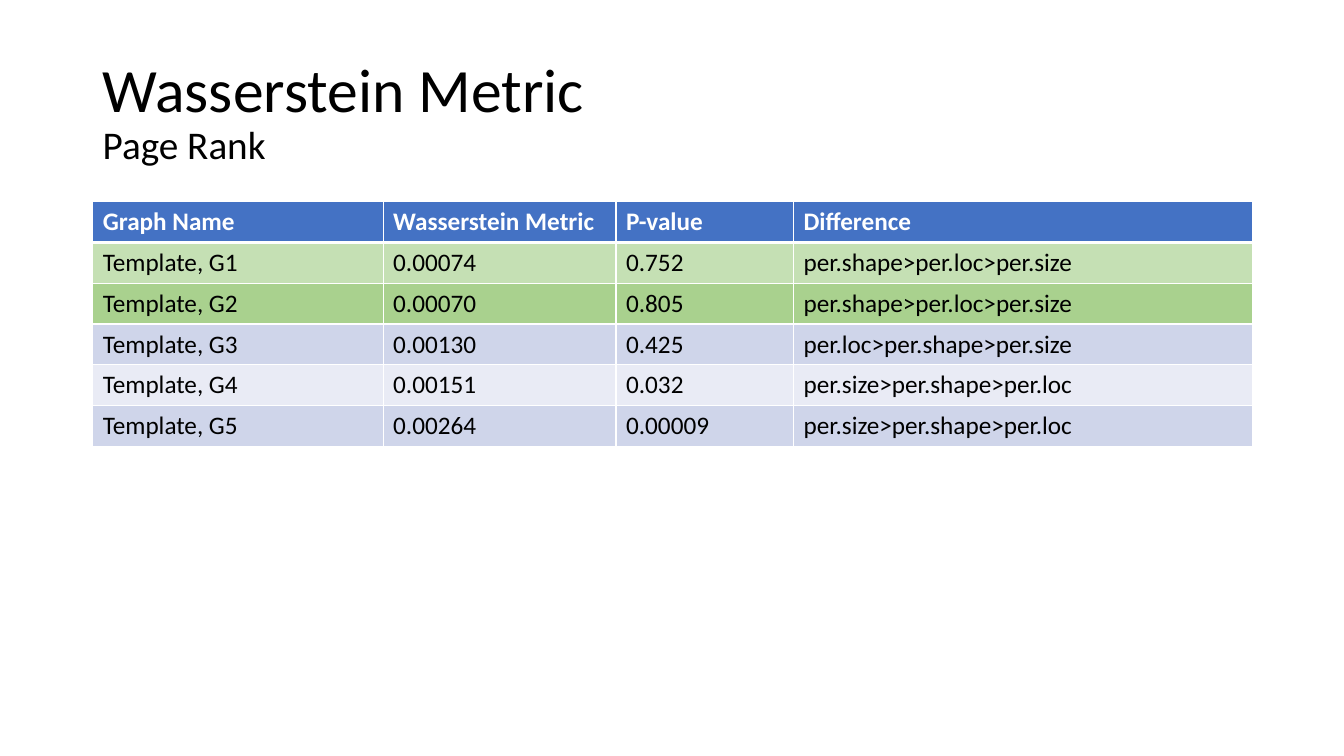
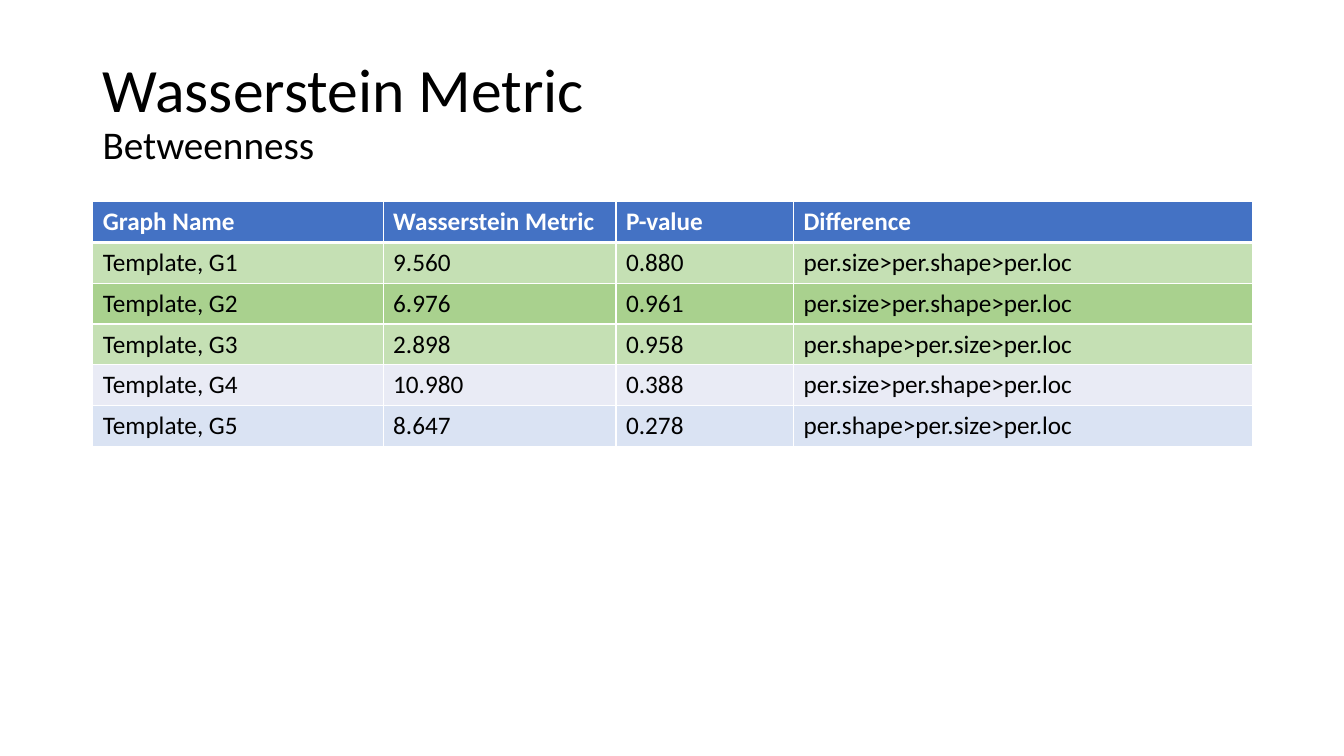
from lxml import etree
from pptx import Presentation
from pptx.dml.color import RGBColor
from pptx.enum.text import MSO_ANCHOR
from pptx.oxml.ns import qn
from pptx.util import Inches, Pt

MIDDLE = MSO_ANCHOR.MIDDLE
BLANK = 6
FONT = "Calibri"
COLORS = {
    "white": "FFFFFF",
    "black": "000000",
    "header": "4472C4",
    "green": "C5E0B4",
    "dark_green": "A9D18E",
    "band": "CFD5EA",
    "light_band": "E9EBF5",
    "pale_blue": "DAE3F3",
}
LEFT, WIDTH = 0.92, 11.5
TITLE = "Wasserstein Metric"
HEADERS = ["Graph Name", "Wasserstein Metric", "P-value", "Difference"]
COL_WIDTHS = [2.88, 2.31, 1.76, 4.55]

SLIDES = [
    ("Page Rank", [
        ("green", "0.00074", "0.752", "per.shape>per.loc>per.size"),
        ("dark_green", "0.00070", "0.805", "per.shape>per.loc>per.size"),
        ("band", "0.00130", "0.425", "per.loc>per.shape>per.size"),
        ("light_band", "0.00151", "0.032", "per.size>per.shape>per.loc"),
        ("band", "0.00264", "0.00009", "per.size>per.shape>per.loc"),
    ]),
    ("Betweenness", [
        ("green", "9.560", "0.880", "per.size>per.shape>per.loc"),
        ("dark_green", "6.976", "0.961", "per.size>per.shape>per.loc"),
        ("green", "2.898", "0.958", "per.shape>per.size>per.loc"),
        ("light_band", "10.980", "0.388", "per.size>per.shape>per.loc"),
        ("pale_blue", "8.647", "0.278", "per.shape>per.size>per.loc"),
    ]),
]


def rgb(name):
    return RGBColor.from_string(COLORS[name])


def add_run(p, text, size, color="black", bold=False):
    r = p.add_run()
    r.text = text
    r.font.name = FONT
    r.font.size = Pt(size)
    r.font.bold = bold
    r.font.color.rgb = rgb(color)


def add_title(s, subtitle):
    sp = s.shapes.add_textbox(Inches(LEFT), Inches(0.4), Inches(WIDTH), Inches(1.45))
    tf = sp.text_frame
    tf.word_wrap = True
    tf.vertical_anchor = MIDDLE
    p = tf.paragraphs[0]
    p.line_spacing = 0.9
    add_run(p, TITLE, 44)
    p.add_line_break()
    add_run(p, subtitle, 28)


def set_borders(cell, top, bottom):
    tcPr = cell._tc.get_or_add_tcPr()
    for side, width in (("L", 1), ("R", 1), ("T", top), ("B", bottom)):
        ln = etree.SubElement(tcPr, qn(f"a:ln{side}"), w=str(Pt(width)))
        fill = etree.SubElement(ln, qn("a:solidFill"))
        etree.SubElement(fill, qn("a:srgbClr"), val=COLORS["white"])


def fill_row(row, texts, fill, color="black", bold=False, top=1, bottom=1):
    for cell, text in zip(row.cells, texts):
        set_borders(cell, top, bottom)
        cell.fill.solid()
        cell.fill.fore_color.rgb = rgb(fill)
        add_run(cell.text_frame.paragraphs[0], text, 18, color, bold)


def add_metric_table(s, rows):
    table = s.shapes.add_table(
        len(rows) + 1, len(HEADERS),
        Inches(LEFT), Inches(2), Inches(WIDTH), Inches(2.43),
    ).table
    for col, width in zip(table.columns, COL_WIDTHS):
        col.width = Inches(width)
    fill_row(table.rows[0], HEADERS, "header", "white", bold=True, bottom=3)
    for i, (fill, *values) in enumerate(rows, 1):
        fill_row(table.rows[i], [f"Template, G{i}", *values], fill,
                 top=3 if i == 1 else 1)


def main():
    prs = Presentation()
    prs.slide_width = Inches(13.33)
    prs.slide_height = Inches(7.5)
    for subtitle, rows in SLIDES:
        s = prs.slides.add_slide(prs.slide_layouts[BLANK])
        add_title(s, subtitle)
        add_metric_table(s, rows)
    prs.save("out.pptx")


if __name__ == "__main__":
    main()
